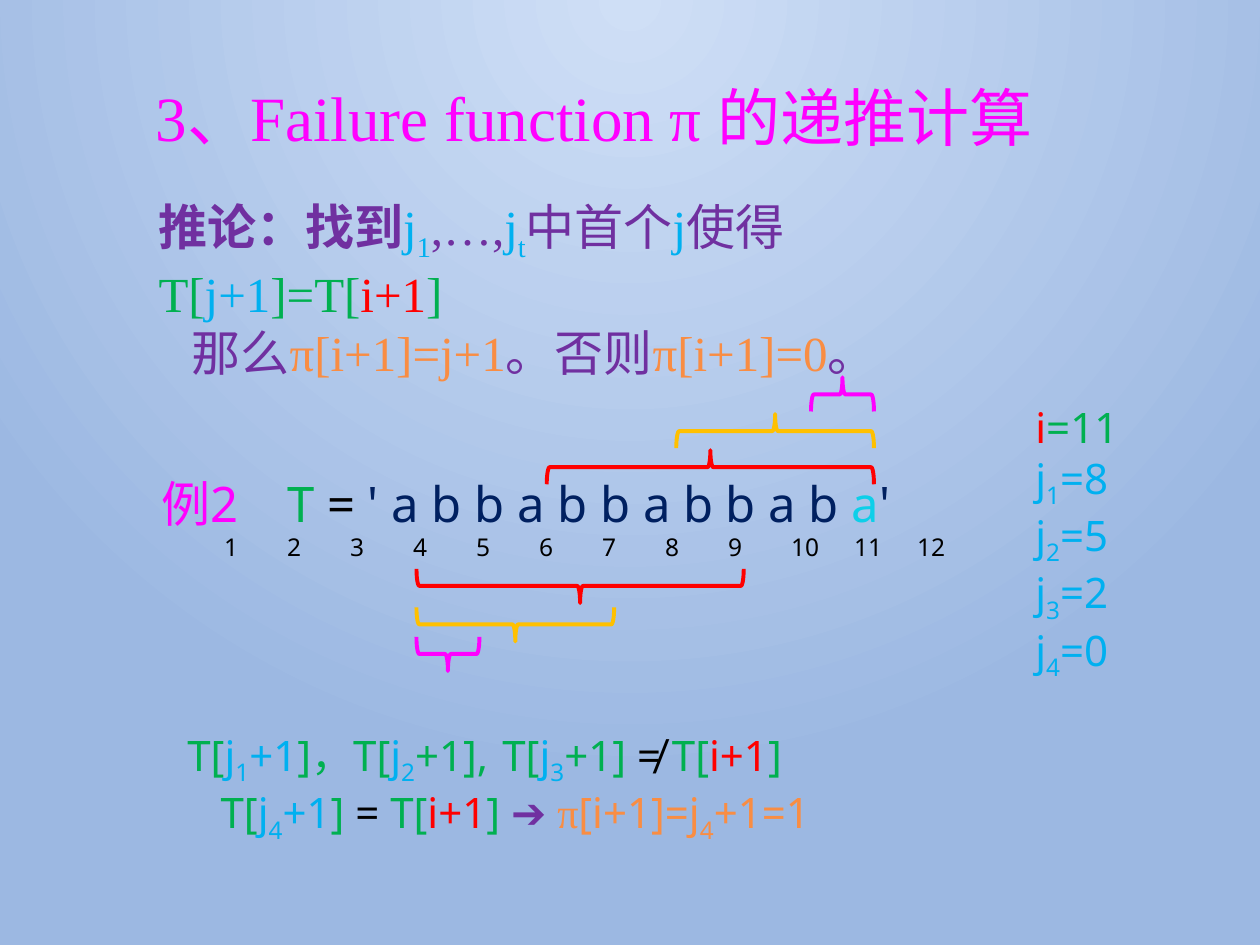
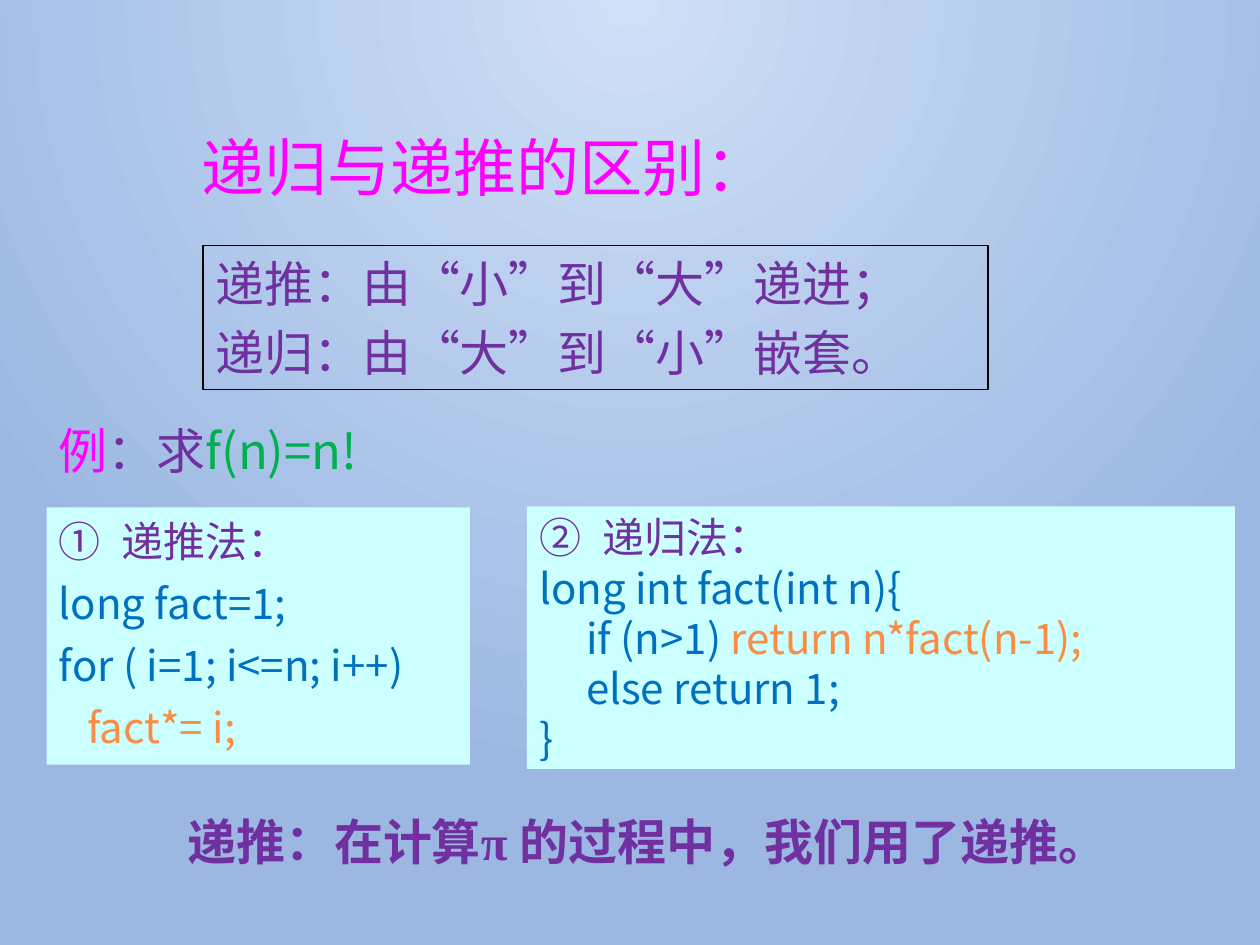
from dataclasses import dataclass

from lxml.etree import SubElement
from pptx import Presentation
from pptx.dml.color import RGBColor
from pptx.enum.shapes import MSO_SHAPE
from pptx.enum.text import MSO_ANCHOR
from pptx.oxml.ns import qn
from pptx.util import Pt

GLOW = RGBColor(0xCF, 0xDF, 0xF6)
HAZE = RGBColor(0x9C, 0xB8, 0xE2)
MAGENTA = RGBColor(0xFF, 0x00, 0xFF)
PURPLE = RGBColor(0x70, 0x30, 0xA0)
GREEN = RGBColor(0x00, 0xB0, 0x50)
SKY = RGBColor(0x00, 0xB0, 0xF0)
AQUA = RGBColor(0x0D, 0xCF, 0xE9)
NAVY = RGBColor(0x00, 0x20, 0x60)
BLUE = RGBColor(0x00, 0x70, 0xC0)
ORANGE = RGBColor(0xF9, 0x8D, 0x43)
AMBER = RGBColor(0xFF, 0xC0, 0x00)
RED = RGBColor(0xFF, 0x00, 0x00)
BLACK = RGBColor(0x00, 0x00, 0x00)
PALE_CYAN = RGBColor(0xCC, 0xFF, 0xFF)

SANS = "Noto Sans"
CHINESE = "Noto Sans CJK SC"
SERIF = "Times New Roman"

TITLE_SIZE = 36
LEAD_SIZE = 28
BODY_SIZE = 24
INDEX_SIZE = 14
LINE_RATIO = 1.2


@dataclass
class Box:
    left: float
    top: float
    width: float
    height: float

    def lengths(self):
        return [Pt(value) for value in (self.left, self.top, self.width, self.height)]


@dataclass
class Run:
    text: str
    color: RGBColor
    bold: bool = False
    subscript: bool = False
    font: str = ""


@dataclass
class Line:
    runs: list
    size: float = BODY_SIZE
    spacing: object = None
    before: float = 0
    indent: float = 0
    tabs: tuple = ()
    number: int = 0


def term(index):
    return [Run("j", SKY), Run(index, SKY, subscript=True)]


def add_run(paragraph, part, size, font_name):
    run = paragraph.add_run()
    run.text = part.text
    run.font.name = part.font or font_name
    run.font.size = Pt(size)
    run.font.bold = part.bold
    run.font.color.rgb = part.color
    properties = run._r.get_or_add_rPr()
    if part.subscript:
        properties.set("baseline", "-25000")
    if run.font.name == CHINESE:
        SubElement(properties, qn("a:ea"), typeface=CHINESE)


def add_line(paragraph, line, font_name):
    if line.spacing:
        paragraph.line_spacing = line.spacing
    if line.before:
        paragraph.space_before = Pt(line.before)
    properties = paragraph._p.get_or_add_pPr()
    properties.set("marL", str(Pt(line.indent)))
    properties.set("indent", "0")
    if line.number:
        properties.set("marL", str(Pt(36)))
        properties.set("indent", str(-Pt(36)))
        SubElement(properties, qn("a:buFont"), typeface=CHINESE)
        SubElement(properties, qn("a:buAutoNum"),
                   type="circleNumDbPlain", startAt=str(line.number))
    if line.tabs:
        tab_list = SubElement(properties, qn("a:tabLst"))
        for position in line.tabs:
            SubElement(tab_list, qn("a:tab"), pos=str(Pt(position)), algn="l")
    for part in line.runs:
        add_run(paragraph, part, line.size, font_name)


def add_text(slide, box, lines, font_name, anchor=MSO_ANCHOR.MIDDLE):
    shape = slide.shapes.add_textbox(*box.lengths())
    frame = shape.text_frame
    frame.word_wrap = True
    frame.vertical_anchor = anchor
    for position, line in enumerate(lines):
        paragraph = frame.add_paragraph() if position else frame.paragraphs[0]
        add_line(paragraph, line, font_name)
    return shape


def add_title(slide, box, text, font_name):
    line = Line([Run(text, MAGENTA)], size=TITLE_SIZE, spacing=0.9)
    add_text(slide, box, [line], font_name)


def add_slide(presentation):
    slide = presentation.slides.add_slide(presentation.slide_layouts[6])
    fill = slide.background.fill
    fill.gradient()
    for stop, color, position in zip(fill.gradient_stops, (GLOW, HAZE), (0, 1)):
        stop.color.rgb = color
        stop.position = position
    gradient = slide.element.find(".//" + qn("a:gradFill"))
    gradient.remove(gradient.find(qn("a:lin")))
    circle = SubElement(gradient, qn("a:path"), path="circle")
    SubElement(circle, qn("a:fillToRect"), l="43000", t="0", r="43000", b="100000")
    return slide


def add_corollary(slide, box):
    lines = [
        Line([Run("推论：找到", PURPLE, bold=True), *term("1"), Run(",…,", PURPLE),
              *term("t"), Run("中首个", PURPLE), Run("j", SKY), Run("使得", PURPLE),
              Run("T[", GREEN), Run("j+1", SKY), Run("]=T[", GREEN),
              Run("i+1", RED), Run("]", GREEN)], size=LEAD_SIZE),
        Line([Run("那么", PURPLE), Run("π[i+1]=j+1", ORANGE), Run("。否则", PURPLE),
              Run("π[i+1]=0", ORANGE), Run("。", PURPLE)], size=LEAD_SIZE, indent=19),
    ]
    add_text(slide, box, lines, SERIF, MSO_ANCHOR.TOP)


def add_example_string(slide, box):
    index_tabs = (120, 142, 165, 188, 206, 229, 252, 270, 293, 312, 335, 362)
    indices = "".join(f"\t{index}" for index in range(1, len(index_tabs) + 1))
    lines = [
        Line([Run("例2\t", MAGENTA), Run("T", GREEN), Run(" = ", BLACK),
              Run("' a b b a b b a b b a b ", NAVY), Run("a", AQUA), Run("'", NAVY)],
             size=LEAD_SIZE, tabs=(72,)),
        Line([Run(indices, BLACK)], size=INDEX_SIZE, tabs=index_tabs),
    ]
    add_text(slide, box, lines, SANS, MSO_ANCHOR.TOP)


def add_brace(slide, center_x, center_y, span, rotation, color):
    depth = 19.5
    box = Box(center_x - depth / 2, center_y - span / 2, depth, span)
    brace = slide.shapes.add_shape(MSO_SHAPE.LEFT_BRACE, *box.lengths())
    brace.rotation = rotation
    brace.shadow.inherit = False
    brace.fill.background()
    brace.line.color.rgb = color
    brace.line.width = Pt(2.25)


def add_border_braces(slide, box):
    right = box.left + box.width
    levels = ((RED, 187, 41.6, 109.4), (AMBER, 113, 21, 131.4), (MAGENTA, 36, 0, 148.3))
    for color, span, suffix_y, prefix_y in levels:
        add_brace(slide, box.left + span / 2, box.top + prefix_y, span, 270, color)
        add_brace(slide, right - span / 2, box.top + suffix_y, span, 90, color)


def add_index_values(slide, box):
    lines = [Line([Run("i", RED), Run("=11", GREEN)])]
    for index, value in enumerate((8, 5, 2, 0), start=1):
        lines.append(Line([*term(str(index)), Run(f"={value}", SKY)]))
    add_text(slide, box, lines, SANS, MSO_ANCHOR.TOP)


def add_conclusion(slide, box):
    target = [Run("T[", GREEN), Run("i+1", RED)]
    lines = [
        Line([Run("T[", GREEN), *term("1"), Run("+1", SKY), Run("]，T[", GREEN),
              *term("2"), Run("+1],\tT[", GREEN), *term("3"), Run("+1] ", GREEN),
              Run("≠ ", BLACK), *target, Run("]", GREEN)], tabs=(196,)),
        Line([Run("T[", GREEN), *term("4"), Run("+1", SKY), Run("]", GREEN),
              Run(" = ", BLACK), *target, Run("] ", GREEN), Run("➔ ", PURPLE),
              Run("π", ORANGE, font=SERIF), Run("[i+1]=j", ORANGE),
              Run("4", ORANGE, subscript=True), Run("+1=1", ORANGE)], indent=19),
    ]
    add_text(slide, box, lines, SANS, MSO_ANCHOR.TOP)


def add_definitions(slide, box):
    sentences = ("递推：由“小”到“大”递进；", "递归：由“大”到“小”嵌套。")
    lines = [Line([Run(sentence, PURPLE)], size=LEAD_SIZE,
                  spacing=Pt(LEAD_SIZE * LINE_RATIO), before=5.6 * position)
             for position, sentence in enumerate(sentences)]
    shape = add_text(slide, box, lines, CHINESE)
    shape.line.color.rgb = BLACK
    shape.line.width = Pt(0.75)


def add_task(slide, box):
    line = Line([Run("例", MAGENTA), Run("：求", PURPLE), Run("f(n)=n!", GREEN)],
                size=LEAD_SIZE, spacing=Pt(LEAD_SIZE * LINE_RATIO))
    add_text(slide, box, [line], CHINESE)


def add_code_panel(slide, box, number, heading, code_lines, spacing, before):
    lines = [Line([Run(heading, PURPLE)], spacing=Pt(spacing), number=number)]
    for runs in code_lines:
        lines.append(Line(runs, spacing=Pt(spacing), before=before))
    panel = add_text(slide, box, lines, CHINESE)
    panel.fill.solid()
    panel.fill.fore_color.rgb = PALE_CYAN


def add_remark(slide, box):
    line = Line([Run("递推：在计算", PURPLE, bold=True),
                 Run("π 的过程中，我们用了递推。", PURPLE, bold=True, font=SERIF)],
                size=LEAD_SIZE, spacing=Pt(LEAD_SIZE * LINE_RATIO))
    add_text(slide, box, [line], CHINESE)


def build_failure_function_slide(presentation):
    slide = add_slide(presentation)
    add_example_string(slide, Box(85, 267, 506, 58))
    add_conclusion(slide, Box(100, 413.3, 551, 94))
    add_border_braces(slide, Box(238, 225.4, 261.4, 148.3))
    add_index_values(slide, Box(584.6, 226, 84, 153))
    add_corollary(slide, Box(83.5, 108.7, 531, 75))
    add_title(slide, Box(82, 44.6, 611, 49.7), "3、Failure function π 的递推计算", SERIF)


def build_comparison_slide(presentation):
    slide = add_slide(presentation)
    add_title(slide, Box(108, 75, 612, 45.4), "递归与递推的区别：", CHINESE)
    add_definitions(slide, Box(116, 140.4, 448.6, 82))
    recursive_code = [
        [Run("long int fact(int n){", BLUE)],
        [Run("     if (n>1) ", BLUE), Run("return n*fact(n-1);", ORANGE)],
        [Run("     else return 1;", BLUE)],
        [Run("}", BLUE)],
    ]
    add_code_panel(slide, Box(301, 289.4, 404.6, 150), 2, "递归法：",
                   recursive_code, 28.7, 0)
    iterative_code = [
        [Run("long fact=1;", BLUE)],
        [Run("for ( i=1; i<=n; i++)", BLUE)],
        [Run("   fact*= i;", ORANGE)],
    ]
    add_code_panel(slide, Box(26.6, 290, 242, 147), 1, "递推法：",
                   iterative_code, 26, 9.5)
    add_task(slide, Box(26.6, 238.3, 193, 38))
    add_remark(slide, Box(100, 460, 546, 41))


def main():
    presentation = Presentation()
    presentation.slide_width = Pt(720)
    presentation.slide_height = Pt(540)
    build_failure_function_slide(presentation)
    build_comparison_slide(presentation)
    presentation.save("out.pptx")


if __name__ == "__main__":
    main()
